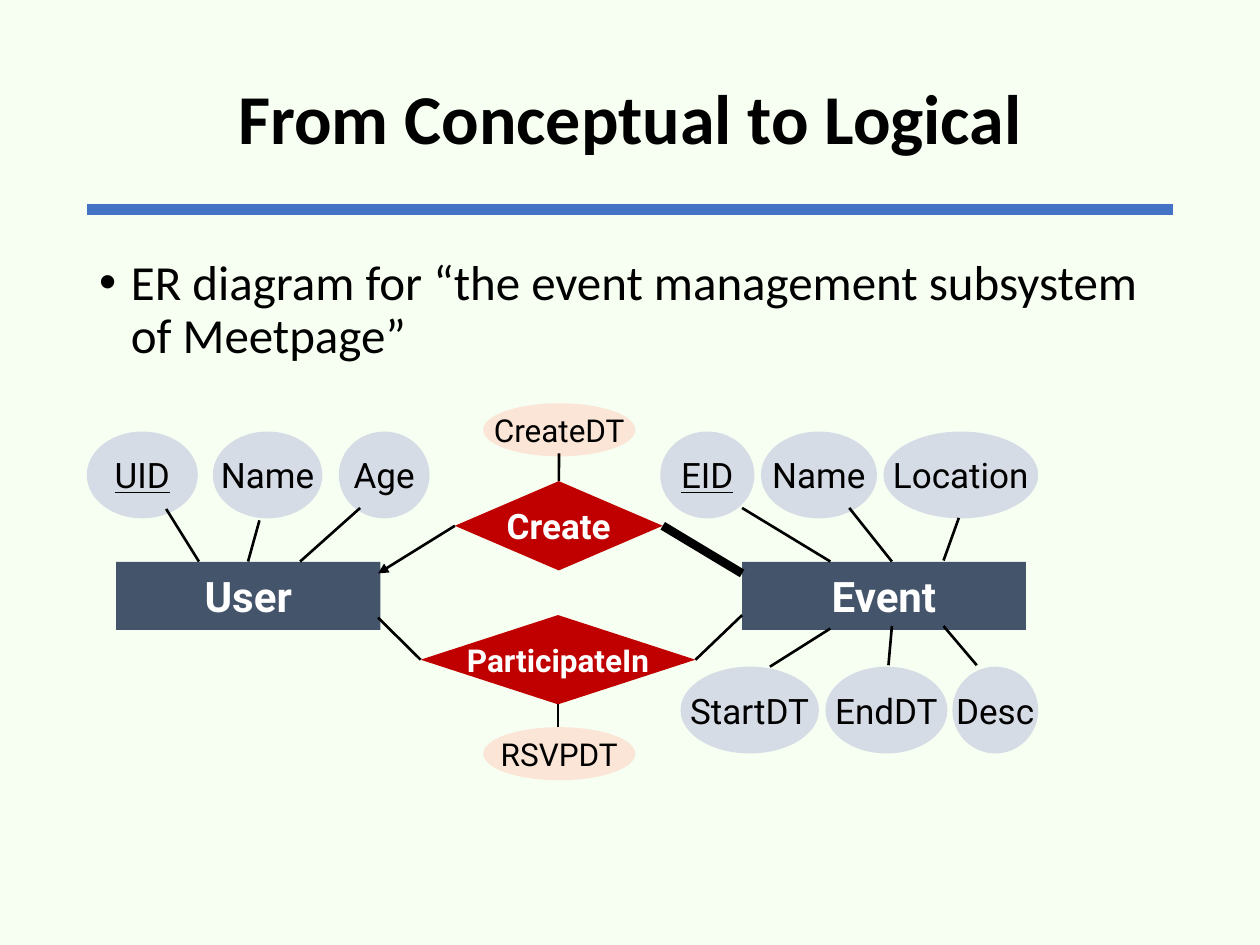
from lxml.etree import SubElement
from pptx import Presentation
from pptx.dml.color import RGBColor
from pptx.enum.shapes import MSO_CONNECTOR as Link, MSO_SHAPE as Kind
from pptx.enum.text import MSO_ANCHOR as Anchor, PP_ALIGN as Align
from pptx.oxml.ns import qn
from pptx.util import Cm, Pt

PAPER = RGBColor(0xF7, 0xFF, 0xF3)
BLACK = RGBColor(0, 0, 0)
WHITE = RGBColor(0xFF, 0xFF, 0xFF)
BLUE = RGBColor(0x44, 0x72, 0xC4)
SLATE = RGBColor(0x44, 0x54, 0x6A)
GREY = RGBColor(0xD6, 0xDC, 0xE5)
RED = RGBColor(0xC0, 0, 0)
PEACH = RGBColor(0xFB, 0xE5, 0xD6)

TOP, LOW = 8.7, 13.44  # rows of attributes


class Board:
    head = "Calibri"
    body = "Roboto"

    def __init__(self, deck):
        self.slide = deck.slides.add_slide(deck.slide_layouts[6])
        fill = self.slide.background.fill
        fill.solid()
        fill.fore_color.rgb = PAPER

    def style(self, para, face, size, color, bold=False):
        font = para.font
        font.name, font.size, font.bold = face, Pt(size), bold
        font.color.rgb = color

    def text(self, words, box, size, bold=False, bullet=False):
        frame = self.slide.shapes.add_textbox(*map(Cm, box)).text_frame
        frame.word_wrap = True
        para = frame.paragraphs[0]
        para.text = words
        para.line_spacing = 0.9
        if bullet:
            props = para._p.get_or_add_pPr()
            props.set("marL", str(Cm(0.64)))
            props.set("indent", str(-Cm(0.64)))
            SubElement(props, qn("a:buFont"), typeface="Arial")
            SubElement(props, qn("a:buChar"), char="•")
        else:
            para.alignment = Align.CENTER
            frame.vertical_anchor = Anchor.MIDDLE
        self.style(para, self.head, size, BLACK, bold)

    def node(self, kind, words, box, fill, size, color=BLACK, bold=False, key=False):
        shape = self.slide.shapes.add_shape(kind, *map(Cm, box))
        shape.shadow.inherit = False
        shape.fill.solid()
        shape.fill.fore_color.rgb = fill
        shape.line.fill.background()
        frame = shape.text_frame
        frame.word_wrap = False
        frame.vertical_anchor = Anchor.MIDDLE
        para = frame.paragraphs[0]
        para.text = words
        para.alignment = Align.CENTER
        self.style(para, self.body, size, color, bold)
        if key:
            para.font.underline = True
        return shape

    def line(self, ends, width=1.5, color=BLACK, start=None, arrow=False):
        link = self.slide.shapes.add_connector(Link.STRAIGHT, *map(Cm, ends))
        SubElement(link._element.spPr, qn("a:effectLst"))
        link.line.width = Pt(width)
        link.line.color.rgb = color
        if arrow:
            SubElement(link.line._get_or_add_ln(), qn("a:tailEnd"), type="triangle")
        if start:
            link.begin_connect(*start)


def main():
    deck = Presentation()
    deck.slide_width, deck.slide_height = Cm(25.4), Cm(19.05)
    board = Board(deck)

    # Title, rule and bullet
    board.line((1.75, 4.22, 23.65, 4.22), 6, BLUE)
    board.text("From Conceptual to Logical", (0.99, 0.61, 23.42, 3.68), 40, bold=True)
    board.text("ER diagram for “the event management subsystem of Meetpage”",
               (1.75, 5.08, 21.89, 3.45), 28, bullet=True)

    # Entities
    for name, left, width in (("User", 2.34, 5.33), ("Event", 14.96, 5.72)):
        board.node(Kind.RECTANGLE, name, (left, 11.33, width, 1.37),
                   SLATE, 24, WHITE, bold=True)

    # Attributes of the entities
    for name, left, top, width in (
        ("UID", 1.75, TOP, 2.24), ("Name", 4.29, TOP, 2.21), ("Age", 6.83, TOP, 1.83),
        ("EID", 13.31, TOP, 1.9), ("Name", 15.34, TOP, 2.34),
        ("Location", 17.81, TOP, 3.12),
        ("StartDT", 13.72, LOW, 2.79), ("EndDT", 16.64, LOW, 2.46),
        ("Desc", 19.2, LOW, 1.73),
    ):
        board.node(Kind.OVAL, name, (left, top, width, 1.75), GREY, 20,
                   key=name in ("UID", "EID"))

    # Relationships and their attributes
    create = board.node(Kind.DIAMOND, "Create", (9.17, 9.7, 4.19, 1.8),
                        RED, 20, WHITE, bold=True)
    join = board.node(Kind.DIAMOND, "ParticipateIn", (8.48, 12.4, 5.54, 1.8),
                      RED, 18, WHITE, bold=True)
    for name, top in (("CreateDT", 8.13), ("RSVPDT", 14.66)):
        board.node(Kind.OVAL, name, (9.74, top, 3.07, 1.07), PEACH, 18)

    # Lines from entities to attributes
    for ends in (
        (4.01, 11.32, 3.35, 10.26), (5, 11.32, 5.23, 10.49), (6.05, 11.32, 7.26, 10.24),
        (16.74, 11.32, 14.96, 10.24), (17.98, 11.32, 17.12, 10.24),
        (19.02, 11.3, 19.33, 10.44),
        (16.74, 12.67, 15.52, 13.44), (17.98, 12.62, 17.91, 13.41),
        (19.02, 12.62, 19.69, 13.41),
    ):
        board.line(ends)

    # Lines from the corners of the diamonds
    for shape, site, x, y, width, arrow in (
        (create, 0, 11.27, 9.14, 1.5, False),
        (create, 1, 7.62, 11.56, 1.5, True),
        (create, 3, 14.96, 11.56, 5, False),
        (join, 1, 7.62, 12.45, 1.5, False),
        (join, 2, 11.25, 14.66, 1.5, False),
        (join, 3, 14.96, 12.4, 1.5, False),
    ):
        board.line((x, y, x, y), width, start=(shape, site), arrow=arrow)

    deck.save("out.pptx")


if __name__ == "__main__":
    main()
